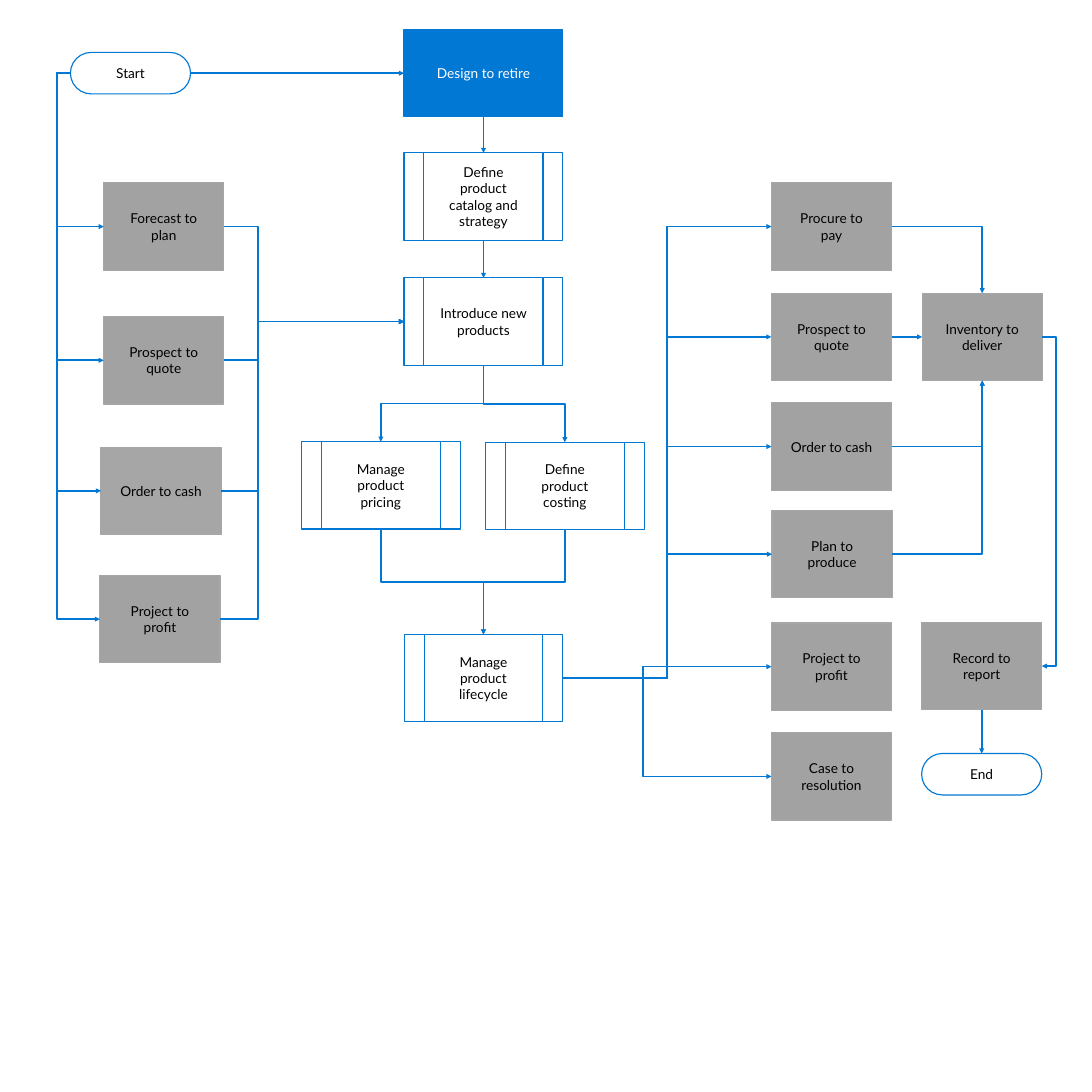
import lxml.etree
import pptx
import pptx.dml.color
import pptx.enum.shapes
import pptx.enum.text
import pptx.oxml.ns
import pptx.util

Inches = pptx.util.Inches
Pt = pptx.util.Pt
SHAPES = pptx.enum.shapes.MSO_SHAPE
CONNECTORS = pptx.enum.shapes.MSO_CONNECTOR
TOP, LEFT, BOTTOM, RIGHT = range(4)
qn = pptx.oxml.ns.qn


def color(value):
    return pptx.dml.color.RGBColor.from_string(value)


class Flowchart:
    """Holds the shared style and the page being drawn."""

    font_name = "Lato"
    blue, white, black = "0078D4", "FFFFFF", "000000"
    gray, gray_edge = "A2A2A2", "A6A6A6"

    def __init__(self, page):
        self.page = page

    def box(self, kind, label, left, top, width, height, fill, edge, ink):
        box = self.page.shapes.add_shape(
            kind, Inches(left), Inches(top), Inches(width), Inches(height))
        box.shadow.inherit = False
        box.fill.solid()
        box.fill.fore_color.rgb = color(fill)
        box.line.color.rgb = color(edge)
        box.line.width = Pt(1.5)
        frame = box.text_frame
        frame.word_wrap = True
        frame.vertical_anchor = pptx.enum.text.MSO_ANCHOR.MIDDLE
        frame.margin_left = frame.margin_right = Inches(0.3)
        frame.margin_top = frame.margin_bottom = Inches(0.24)
        para = frame.paragraphs[0]
        para.text = label
        para.alignment = pptx.enum.text.PP_ALIGN.CENTER
        para.font.name = self.font_name
        para.font.size = Pt(18)
        para.font.color.rgb = color(ink)
        return box

    def terminal(self, label, left, top):
        box = self.box(SHAPES.ROUNDED_RECTANGLE, label, left, top, 2.2, 0.76,
                       self.white, self.blue, self.black)
        box.adjustments[0] = 0.5
        return box

    def related(self, label, left, top, fill=gray):
        return self.box(SHAPES.RECTANGLE, label, left, top, 2.2, 1.6,
                        fill, self.gray_edge, self.black)

    def title(self, label, left, top):
        return self.box(SHAPES.RECTANGLE, label, left, top, 2.91, 1.6,
                        self.blue, self.blue, self.white)

    def process(self, label, left, top, width=2.91):
        return self.box(SHAPES.FLOWCHART_PREDEFINED_PROCESS, label, left, top,
                        width, 1.6, self.white, self.blue, self.black)

    def site(self, box, side):
        x = {LEFT: box.left, RIGHT: box.left + box.width}.get(
            side, box.left + box.width // 2)
        y = {TOP: box.top, BOTTOM: box.top + box.height}.get(
            side, box.top + box.height // 2)
        return x, y

    def arrow(self, kind, source, source_side, target, target_side):
        line = self.page.shapes.add_connector(
            kind, *self.site(source, source_side),
            *self.site(target, target_side))
        line.begin_connect(source, source_side)
        line.end_connect(target, target_side)
        line.line.color.rgb = color(self.blue)
        line.line.width = Pt(2.25)
        properties = line._element.spPr
        lxml.etree.SubElement(
            properties.find(qn("a:ln")), qn("a:tailEnd"), type="triangle")
        lxml.etree.SubElement(properties, qn("a:effectLst"))
        return line

    def straight(self, source, source_side, target, target_side):
        self.arrow(CONNECTORS.STRAIGHT, source, source_side, target, target_side)

    def across(self, source, source_side, target, target_side, trunk):
        """Run sideways, turn at the trunk, and run sideways again."""
        line = self.arrow(CONNECTORS.ELBOW, source, source_side, target, target_side)
        share = (Inches(trunk) - line.begin_x) / (line.end_x - line.begin_x)
        geometry = line._element.spPr.find(qn("a:prstGeom"))
        guides = geometry.find(qn("a:avLst"))
        if guides is None:
            guides = lxml.etree.SubElement(geometry, qn("a:avLst"))
        lxml.etree.SubElement(guides, qn("a:gd"), name="adj1",
                              fmla=f"val {round(share * 100000)}")

    def down(self, source, target):
        """Run down, turn halfway, and run down again."""
        line = self.arrow(CONNECTORS.ELBOW, source, BOTTOM, target, TOP)
        rightward = line.end_x > line.begin_x
        center_x = line.left + line.width // 2
        center_y = line.top + line.height // 2
        line.width, line.height = line.height, line.width
        line.left = center_x - line.width // 2
        line.top = center_y - line.height // 2
        turn = line._element.spPr.find(qn("a:xfrm"))
        turn.set("rot", str((270 if rightward else 90) * 60000))
        turn.set("flipH", "1" if rightward else "0")

    def corner(self, source, target, target_side):
        """Run sideways, then turn once into the target."""
        line = self.arrow(CONNECTORS.ELBOW, source, RIGHT, target, target_side)
        line._element.spPr.find(qn("a:prstGeom")).set("prst", "bentConnector2")


def main():
    deck = pptx.Presentation()
    deck.slide_width = deck.slide_height = Inches(20)
    chart = Flowchart(deck.slides.add_slide(deck.slide_layouts[6]))

    # Start and the processes that feed new products
    start = chart.terminal("Start", 1.29, 0.96)
    feeders = [
        chart.related("Forecast to plan", 1.9, 3.35),
        chart.related("Prospect to quote", 1.9, 5.8),
        chart.related("Order to cash", 1.85, 8.19, chart.gray_edge),
        chart.related("Project to profit", 1.83, 10.54),
    ]

    # Main process
    design = chart.title("Design to retire", 7.4, 0.54)
    catalog = chart.process("Define product catalog and strategy", 7.4, 2.8)
    introduce = chart.process("Introduce new products", 7.4, 5.09)
    pricing = chart.process("Manage product pricing", 5.52, 8.09)
    costing = chart.process("Define product costing", 8.89, 8.1)
    lifecycle = chart.process("Manage product lifecycle", 7.41, 11.62, 2.89)

    # Processes that follow
    procure = chart.related("Procure to pay", 14.13, 3.35)
    prospect = chart.related("Prospect to quote", 14.13, 5.37)
    order = chart.related("Order to cash", 14.13, 7.38)
    produce = chart.related("Plan to produce", 14.14, 9.35)
    project = chart.related("Project to profit", 14.13, 11.41)
    case = chart.related("Case to resolution", 14.13, 13.42)
    inventory = chart.related("Inventory to deliver", 16.89, 5.37)
    record = chart.related("Record to report", 16.88, 11.4)
    end = chart.terminal("End", 16.88, 13.8)

    # Arrows on the left
    chart.straight(start, RIGHT, design, LEFT)
    for feeder in feeders:
        chart.across(start, LEFT, feeder, LEFT, 1.04)
        chart.across(feeder, RIGHT, introduce, LEFT, 4.73)

    # Arrows down the middle
    chart.straight(design, BOTTOM, catalog, TOP)
    chart.straight(catalog, BOTTOM, introduce, TOP)
    for branch in (pricing, costing):
        chart.down(introduce, branch)
        chart.down(branch, lifecycle)

    # Arrows on the right
    for follower in (procure, prospect, order, produce):
        chart.across(lifecycle, RIGHT, follower, LEFT, 12.22)
    for follower in (project, case):
        chart.across(lifecycle, RIGHT, follower, LEFT, 11.78)
    chart.corner(procure, inventory, TOP)
    chart.corner(order, inventory, BOTTOM)
    chart.corner(produce, inventory, BOTTOM)
    chart.straight(prospect, RIGHT, inventory, LEFT)
    chart.across(inventory, RIGHT, record, RIGHT, 19.34)
    chart.straight(record, BOTTOM, end, TOP)

    deck.save("out.pptx")


if __name__ == "__main__":
    main()
